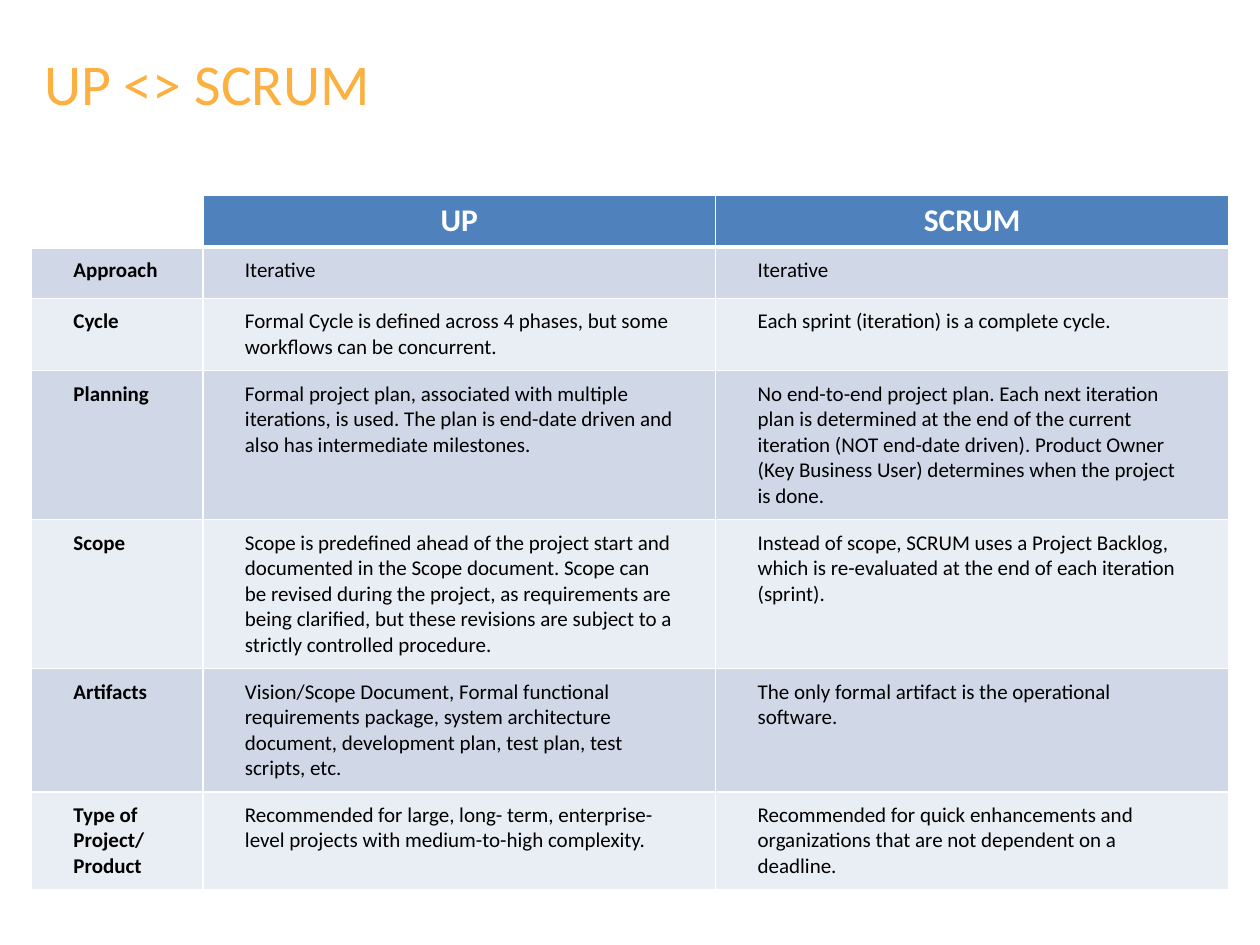
from lxml import etree
from pptx import Presentation
from pptx.dml.color import RGBColor
from pptx.enum import text as t
from pptx.oxml import ns
from pptx.util import Pt

HUES = {
    "title": "FBB040",
    "head": "4F81BD",
    "odd": "D0D8E8",
    "even": "E9EDF4",
    "white": "FFFFFF",
    "black": "000000",
}
FONT = "Calibri"
WIDTHS = [98, 293, 293]
HEIGHTS = [29.5, 29.5, 41, 85, 85, 70, 55]
ROWS = [
    ["", "UP", "SCRUM"],
    ["Approach", "Iterative", "Iterative"],
    ["Cycle",
     "Formal Cycle is defined across 4 phases, but some workflows can be concurrent.",
     "Each sprint (iteration) is a complete cycle."],
    ["Planning",
     "Formal project plan, associated with multiple iterations, is used. "
     "The plan is end-date driven and also has intermediate milestones.",
     "No end-to-end project plan. Each next iteration plan is determined at the end "
     "of the current iteration (NOT end-date driven). Product Owner (Key Business User) "
     "determines when the project is done."],
    ["Scope",
     "Scope is predefined ahead of the project start and documented in the Scope document. "
     "Scope can be revised during the project, as requirements are being clarified, "
     "but these revisions are subject to a strictly controlled procedure.",
     "Instead of scope, SCRUM uses a Project Backlog, which is re-evaluated "
     "at the end of each iteration (sprint)."],
    ["Artifacts",
     "Vision/Scope Document, Formal functional requirements package, system architecture "
     "document, development plan, test plan, test scripts, etc.",
     "The only formal artifact is the operational software."],
    ["Type of Project/\vProduct",
     "Recommended for large, long- term, enterprise-level projects "
     "with medium-to-high complexity.",
     "Recommended for quick enhancements and organizations "
     "that are not dependent on a deadline."],
]


def rgb(name):
    return RGBColor.from_string(HUES[name])


def write(frame, words, size=12, hue="black", bold=False,
          align=t.PP_ALIGN.LEFT, space=1.0):
    frame.text = words
    para = frame.paragraphs[0]
    para.alignment = align
    para.line_spacing = space
    for run in para.runs:
        font = run.font
        font.name = FONT
        font.size = Pt(size)
        font.bold = bold
        font.color.rgb = rgb(hue)


def add_title(slide, words):
    title = slide.shapes.title
    title.left, title.top = Pt(18), Pt(21.6)
    title.width, title.height = Pt(684), Pt(56)
    frame = title.text_frame
    frame.auto_size = t.MSO_AUTO_SIZE.NONE
    frame.vertical_anchor = t.MSO_ANCHOR.MIDDLE
    write(frame, words, size=33, hue="title", space=0.9)


def edge(cell, base):
    props = cell._tc.get_or_add_tcPr()
    sides = {"lnL": 1, "lnR": 1, "lnT": 1, "lnB": base}
    for spot, (side, width) in enumerate(sides.items()):
        line = etree.Element(ns.qn("a:" + side), w=str(Pt(width)))
        fill = etree.SubElement(line, ns.qn("a:solidFill"))
        etree.SubElement(fill, ns.qn("a:srgbClr"), val=HUES["white"])
        props.insert(spot, line)


def paint(cell, hue, base=1):
    cell.fill.solid()
    cell.fill.fore_color.rgb = rgb(hue)
    edge(cell, base)


def head_cell(cell, words):
    write(cell.text_frame, words, size=18, hue="white", bold=True,
          align=t.PP_ALIGN.CENTER)
    paint(cell, "head" if words else "white", base=3)


def body_cell(cell, words, row, col):
    cell.margin_left = cell.margin_right = Pt(24)
    cell.margin_top = cell.margin_bottom = Pt(6)
    write(cell.text_frame, words, bold=col == 0)
    paint(cell, "odd" if row % 2 else "even")


def add_grid(slide):
    grid = slide.shapes.add_table(
        len(ROWS), len(WIDTHS), Pt(18), Pt(111.6),
        Pt(sum(WIDTHS)), Pt(sum(HEIGHTS))).table
    for col, width in zip(grid.columns, WIDTHS):
        col.width = Pt(width)
    for row, height in zip(grid.rows, HEIGHTS):
        row.height = Pt(height)
    for r, line in enumerate(ROWS):
        for c, words in enumerate(line):
            cell = grid.cell(r, c)
            if r == 0:
                head_cell(cell, words)
            else:
                body_cell(cell, words, r, c)


def main():
    deck = Presentation()
    deck.slide_width, deck.slide_height = Pt(720), Pt(540)
    slide = deck.slides.add_slide(deck.slide_layouts[5])
    add_title(slide, "UP <> SCRUM")
    add_grid(slide)
    deck.save("out.pptx")


if __name__ == "__main__":
    main()
